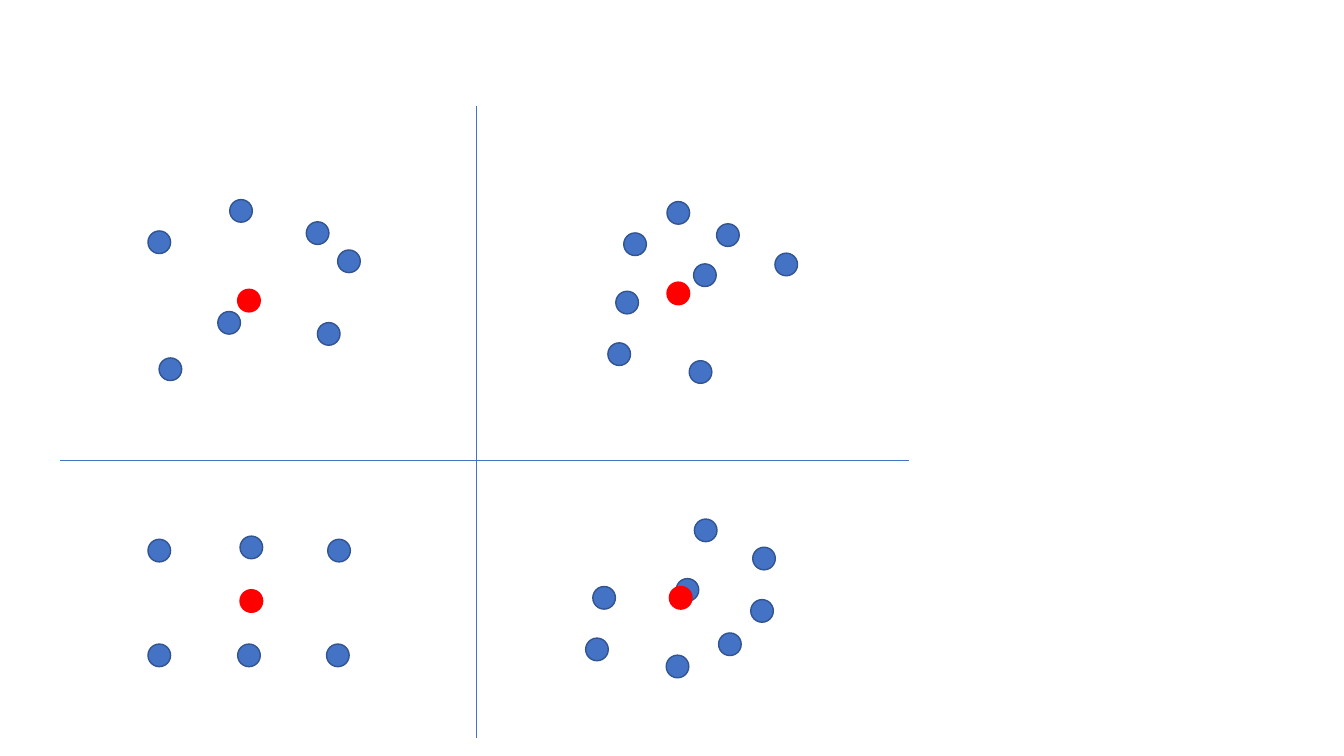
import dataclasses

import lxml.etree
import pptx
import pptx.dml.color
import pptx.enum.shapes
import pptx.oxml.ns
import pptx.shapes.autoshape
import pptx.shapes.connector
import pptx.slide
import pptx.util

COLORS: dict[str, str] = {
    "point": "4472C4",
    "point_edge": "325491",
    "centroid": "FF0000",
    "axis": "4472C4",
}
DOT_SIZE = pptx.util.Cm(0.57)

Position = tuple[float, float]


@dataclasses.dataclass(frozen=True)
class Cluster:
    points: list[Position]
    centroid: Position


@dataclasses.dataclass(frozen=True)
class Axis:
    start: Position
    end: Position


CLUSTERS: list[Cluster] = [
    Cluster(
        points=[(5.79, 5.03), (3.73, 5.82), (4.01, 9.02), (7.72, 5.59),
                (8.51, 6.3), (8, 8.13), (5.49, 7.85)],
        centroid=(5.99, 7.29),
    ),
    Cluster(
        points=[(16.81, 5.08), (15.72, 5.87), (17.37, 9.09), (18.06, 5.64),
                (19.53, 6.38), (15.52, 7.34), (15.32, 8.64), (17.48, 6.65)],
        centroid=(16.81, 7.11),
    ),
    Cluster(
        points=[(3.73, 13.59), (3.73, 16.23), (6.05, 13.51), (8.26, 13.59),
                (5.99, 16.23), (8.23, 16.23)],
        centroid=(6.05, 14.86),
    ),
    Cluster(
        points=[(18.11, 15.95), (17.04, 14.58), (16.79, 16.51), (17.5, 13.08),
                (18.97, 13.79), (14.94, 14.78), (14.76, 16.08), (18.92, 15.11)],
        centroid=(16.87, 14.78),
    ),
]

AXES: list[Axis] = [
    Axis(start=(1.52, 11.61), end=(22.91, 11.61)),
    Axis(start=(12.01, 2.67), end=(12.01, 18.59)),
]


def rgb(name: str) -> pptx.dml.color.RGBColor:
    return pptx.dml.color.RGBColor.from_string(COLORS[name])


def draw_dot(
    page: pptx.slide.Slide, position: Position, fill: str, edge: str
) -> pptx.shapes.autoshape.Shape:
    left, top = map(pptx.util.Cm, position)
    dot = page.shapes.add_shape(
        pptx.enum.shapes.MSO_SHAPE.OVAL, left, top, DOT_SIZE, DOT_SIZE
    )
    dot.shadow.inherit = False
    dot.fill.solid()
    dot.fill.fore_color.rgb = rgb(fill)
    dot.line.color.rgb = rgb(edge)
    dot.line.width = pptx.util.Pt(1)
    return dot


def draw_cluster(page: pptx.slide.Slide, cluster: Cluster) -> None:
    for point in cluster.points:
        draw_dot(page, point, "point", "point_edge")
    draw_dot(page, cluster.centroid, "centroid", "centroid")


def draw_axis(
    page: pptx.slide.Slide, axis: Axis
) -> pptx.shapes.connector.Connector:
    line = page.shapes.add_connector(
        pptx.enum.shapes.MSO_CONNECTOR.STRAIGHT,
        *map(pptx.util.Cm, axis.start + axis.end),
    )
    line.line.color.rgb = rgb("axis")
    line.line.width = pptx.util.Pt(0.5)
    properties = line._element.spPr
    lxml.etree.SubElement(properties, pptx.oxml.ns.qn("a:effectLst"))
    return line


def main() -> None:
    deck = pptx.Presentation()
    deck.slide_width = pptx.util.Cm(33.87)
    deck.slide_height = pptx.util.Cm(19.05)
    page = deck.slides.add_slide(deck.slide_layouts[6])
    for cluster in CLUSTERS:
        draw_cluster(page, cluster)
    for axis in AXES:
        draw_axis(page, axis)
    deck.save("out.pptx")


if __name__ == "__main__":
    main()
